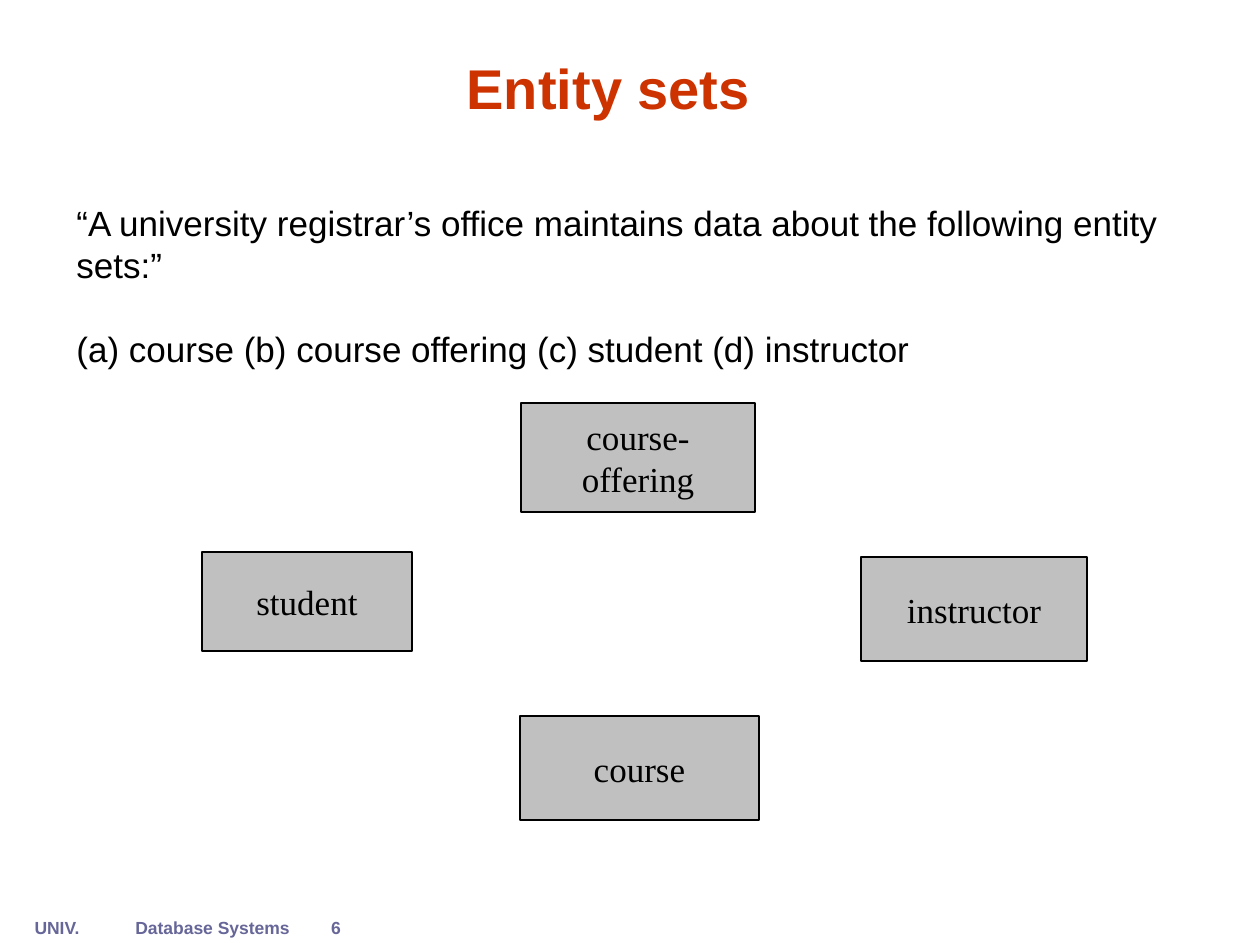
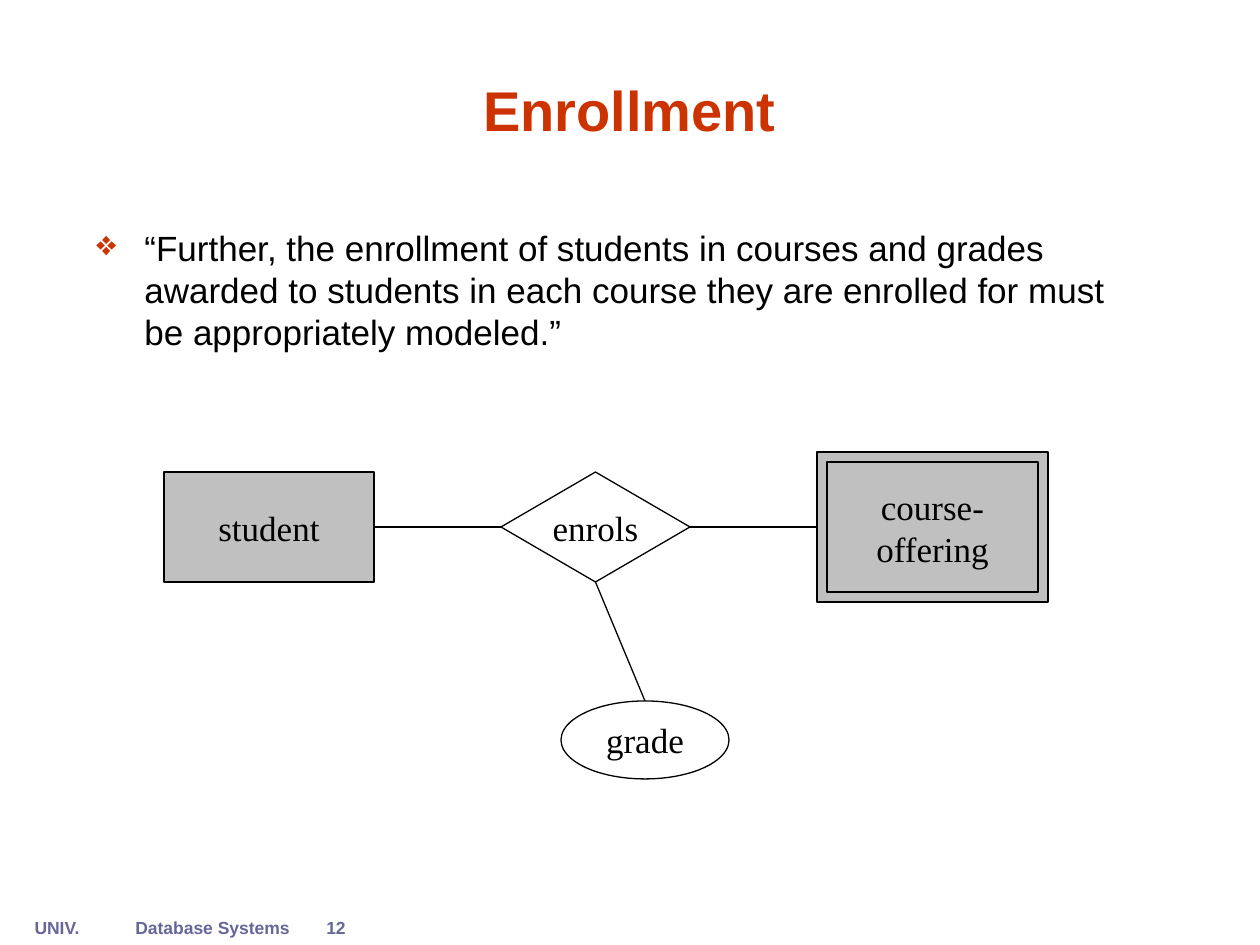
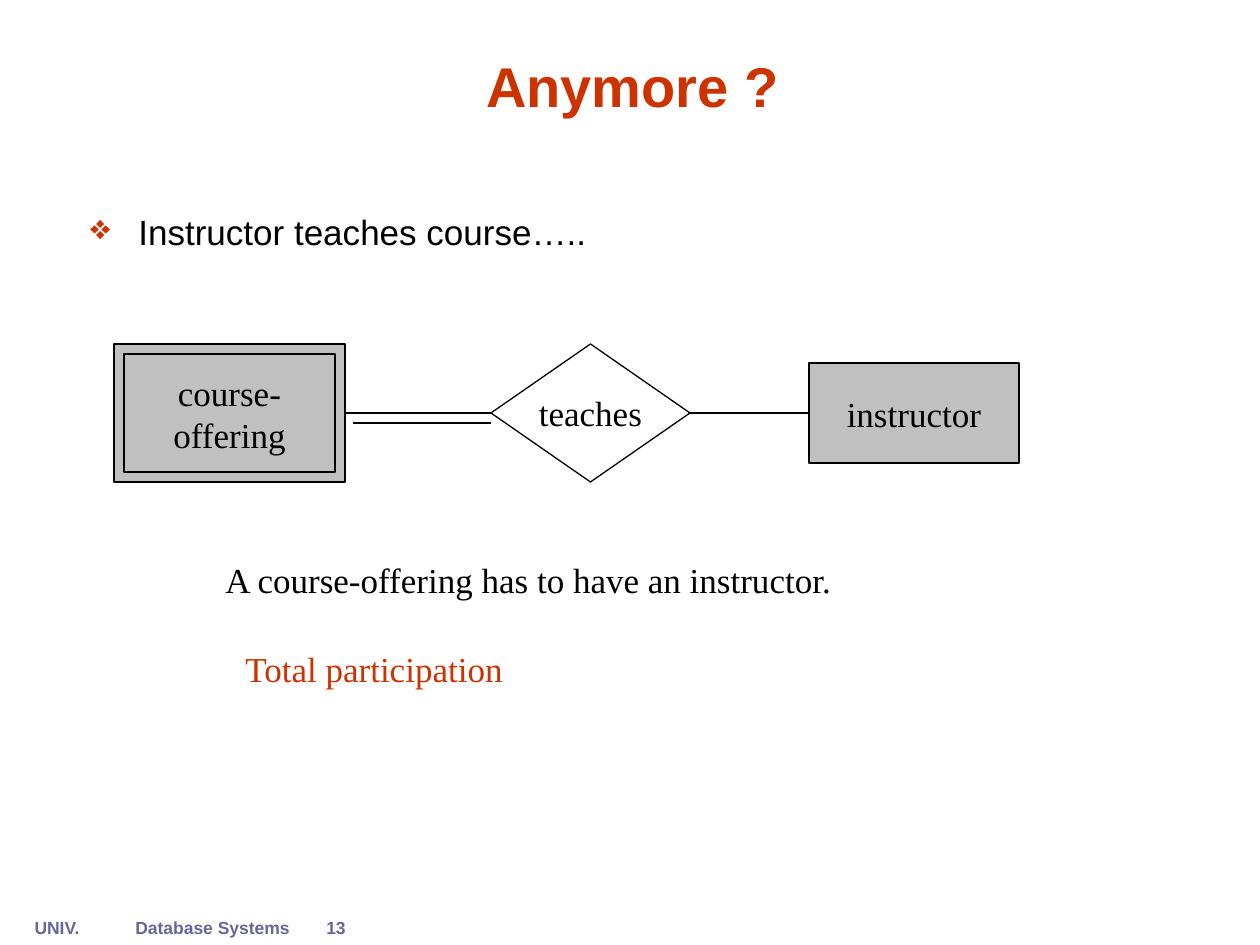
from dataclasses import dataclass
from typing import Optional

from lxml import etree
from pptx import Presentation
from pptx import util as u
from pptx.dml.color import RGBColor
from pptx.enum import shapes, text
from pptx.oxml import ns

# Shared look
PX = 914400 / 126
RED, BLACK, WHITE, GREY, SLATE = "CC3300", "000000", "FFFFFF", "C0C0C0", "666699"
SANS, SERIF = "Arial", "Times New Roman"
LEFT, CENTER = text.PP_ALIGN.LEFT, text.PP_ALIGN.CENTER
TOP, MIDDLE, BOTTOM = (text.MSO_ANCHOR.TOP, text.MSO_ANCHOR.MIDDLE,
                       text.MSO_ANCHOR.BOTTOM)
PROCESS = shapes.MSO_SHAPE.FLOWCHART_PROCESS
DECISION = shapes.MSO_SHAPE.FLOWCHART_DECISION
OVAL = shapes.MSO_SHAPE.OVAL
RECTANGLE = shapes.MSO_SHAPE.RECTANGLE
SITE_TOP, SITE_LEFT, SITE_BOTTOM, SITE_RIGHT = range(4)
WEAK_INSET = 10
BULLET_INDENT = 48


@dataclass(frozen=True)
class Area:
    left: int
    top: int
    width: int
    height: int

    def emu(self) -> list[int]:
        return [px(n) for n in (self.left, self.top, self.width, self.height)]

    def inset(self, gap: int) -> "Area":
        return Area(self.left + gap, self.top + gap,
                    self.width - 2 * gap, self.height - 2 * gap)


@dataclass(frozen=True)
class Style:
    font: str = SERIF
    size: int = 20
    color: str = BLACK
    bold: bool = False
    align: text.PP_ALIGN = LEFT
    anchor: text.MSO_ANCHOR = TOP
    wrap: bool = False


@dataclass(frozen=True)
class Node:
    label: str
    area: Area
    kind: shapes.MSO_SHAPE = PROCESS
    fill: Optional[str] = GREY
    wrap: bool = False


TITLE = Style(SANS, 32, RED, True, CENTER, BOTTOM, True)
BODY = Style(SANS, wrap=True)
FOOTER = Style(SANS, 10, SLATE, True)
FOOTER_CENTERED = Style(SANS, 10, SLATE, True, CENTER)


def px(length: int) -> int:
    return round(length * PX)


def rgb(color: str) -> RGBColor:
    return RGBColor.from_string(color)


# Drawing helpers
def write(box, lines: list[str], style: Style) -> None:
    frame = box.text_frame
    frame.word_wrap = style.wrap
    frame.vertical_anchor = style.anchor
    for index, line in enumerate(lines):
        para = frame.add_paragraph() if index else frame.paragraphs[0]
        para.text = line
        para.alignment = style.align
        para.font.name = style.font
        para.font.size = u.Pt(style.size)
        para.font.bold = style.bold
        para.font.color.rgb = rgb(style.color)


def add_text(page, area: Area, lines: list[str], style: Style):
    box = page.shapes.add_textbox(*area.emu())
    write(box, lines, style)
    return box


def add_bullet(page, area: Area, line: str) -> None:
    box = add_text(page, area, [line], BODY)
    props = box.text_frame.paragraphs[0]._p.get_or_add_pPr()
    props.set("marL", str(px(BULLET_INDENT)))
    props.set("indent", str(-px(BULLET_INDENT)))
    color = etree.SubElement(props, ns.qn("a:buClr"))
    etree.SubElement(color, ns.qn("a:srgbClr"), val=RED)
    etree.SubElement(props, ns.qn("a:buChar"), char="❖")


def add_node(page, node: Node):
    shape = page.shapes.add_shape(node.kind, *node.area.emu())
    shape.shadow.inherit = False
    if node.fill:
        shape.fill.solid()
        shape.fill.fore_color.rgb = rgb(node.fill)
    else:
        shape.fill.background()
    shape.line.color.rgb = rgb(BLACK)
    shape.line.width = u.Pt(0.75)
    if node.label:
        write(shape, [node.label],
              Style(align=CENTER, anchor=MIDDLE, wrap=node.wrap))
    return shape


def add_weak_entity(page, label: str, area: Area):
    """Draw a double-bordered box and return its outer border."""
    outer = add_node(page, Node("", area, RECTANGLE))
    add_node(page, Node(label, area.inset(WEAK_INSET), RECTANGLE))
    return outer


def add_line(page, left: int = 0, top: int = 0, right: int = 0, bottom: int = 0):
    line = page.shapes.add_connector(
        shapes.MSO_CONNECTOR.STRAIGHT, px(left), px(top), px(right), px(bottom))
    line.line.color.rgb = rgb(BLACK)
    line.line.width = u.Pt(0.75)
    etree.SubElement(line._element.spPr, ns.qn("a:effectLst"))
    return line


def join(page, start, end, start_site: int = SITE_RIGHT,
         end_site: int = SITE_LEFT) -> None:
    line = add_line(page)
    line.begin_connect(start, start_site)
    line.end_connect(end, end_site)


def add_page(deck, title: str, title_area: Area, number: int):
    page = deck.slides.add_slide(deck.slide_layouts[6])
    add_text(page, Area(15, 911, 84, 34), ["UNIV."], FOOTER_CENTERED)
    add_text(page, Area(281, 911, 110, 34), [str(number)], FOOTER_CENTERED)
    add_text(page, Area(123, 911, 179, 34), ["Database Systems"], FOOTER)
    add_text(page, title_area, [title], TITLE)
    return page


# Slides
def entity_sets(deck) -> None:
    page = add_page(deck, "Entity sets", Area(73, 16, 1071, 111), 6)
    intro = add_text(page, Area(64, 195, 1176, 181), [
        "“A university registrar’s office maintains data about the following "
        "entity sets:”",
        "(a) course (b) course offering (c) student (d) instructor",
    ], BODY)
    intro.text_frame.paragraphs[1].space_before = u.Pt(24)
    for label, area in (
        ("course", Area(520, 716, 239, 104)),
        ("course-offering", Area(521, 403, 234, 109)),
        ("student", Area(202, 552, 210, 99)),
        ("instructor", Area(861, 557, 226, 104)),
    ):
        add_node(page, Node(label, area, wrap=True))


def enrollment(deck) -> None:
    page = add_page(deck, "Enrollment", Area(94, 16, 1071, 133), 12)
    add_bullet(page, Area(84, 220, 1071, 567),
               "“Further, the enrollment of students in courses and grades awarded "
               "to students in each course they are enrolled for must be "
               "appropriately modeled.”")
    student = add_node(page, Node("student", Area(164, 472, 210, 110)))
    offering = add_weak_entity(page, "course-\noffering", Area(817, 452, 231, 150))
    enrols = add_node(page, Node("enrols", Area(501, 472, 189, 110), DECISION, WHITE))
    grade = add_node(page, Node("grade", Area(561, 701, 168, 78), OVAL, None, True))
    join(page, student, enrols)
    join(page, enrols, offering)
    join(page, enrols, grade, SITE_BOTTOM, SITE_TOP)


def anymore(deck) -> None:
    page = add_page(deck, "Anymore ?", Area(76, 9, 1113, 116), 13)
    add_bullet(page, Area(78, 204, 1081, 621), "Instructor teaches course…..")
    offering = add_weak_entity(page, "course-\noffering", Area(114, 344, 231, 138))
    teaches = add_node(page, Node("teaches", Area(491, 344, 199, 138), DECISION, WHITE))
    instructor = add_node(page, Node("instructor", Area(809, 363, 210, 100)))
    join(page, offering, teaches)
    join(page, teaches, instructor)
    # Second line marks total participation
    add_line(page, 353, 423, 491, 423)
    add_text(page, Area(213, 552, 644, 55),
             ["A course-offering has to have an instructor."], Style())
    add_text(page, Area(233, 641, 285, 55), ["Total participation"], Style(color=RED))


def main() -> None:
    deck = Presentation()
    deck.slide_width, deck.slide_height = u.Inches(10), u.Inches(7.5)
    for build in (entity_sets, enrollment, anymore):
        build(deck)
    deck.save("out.pptx")


if __name__ == "__main__":
    main()
